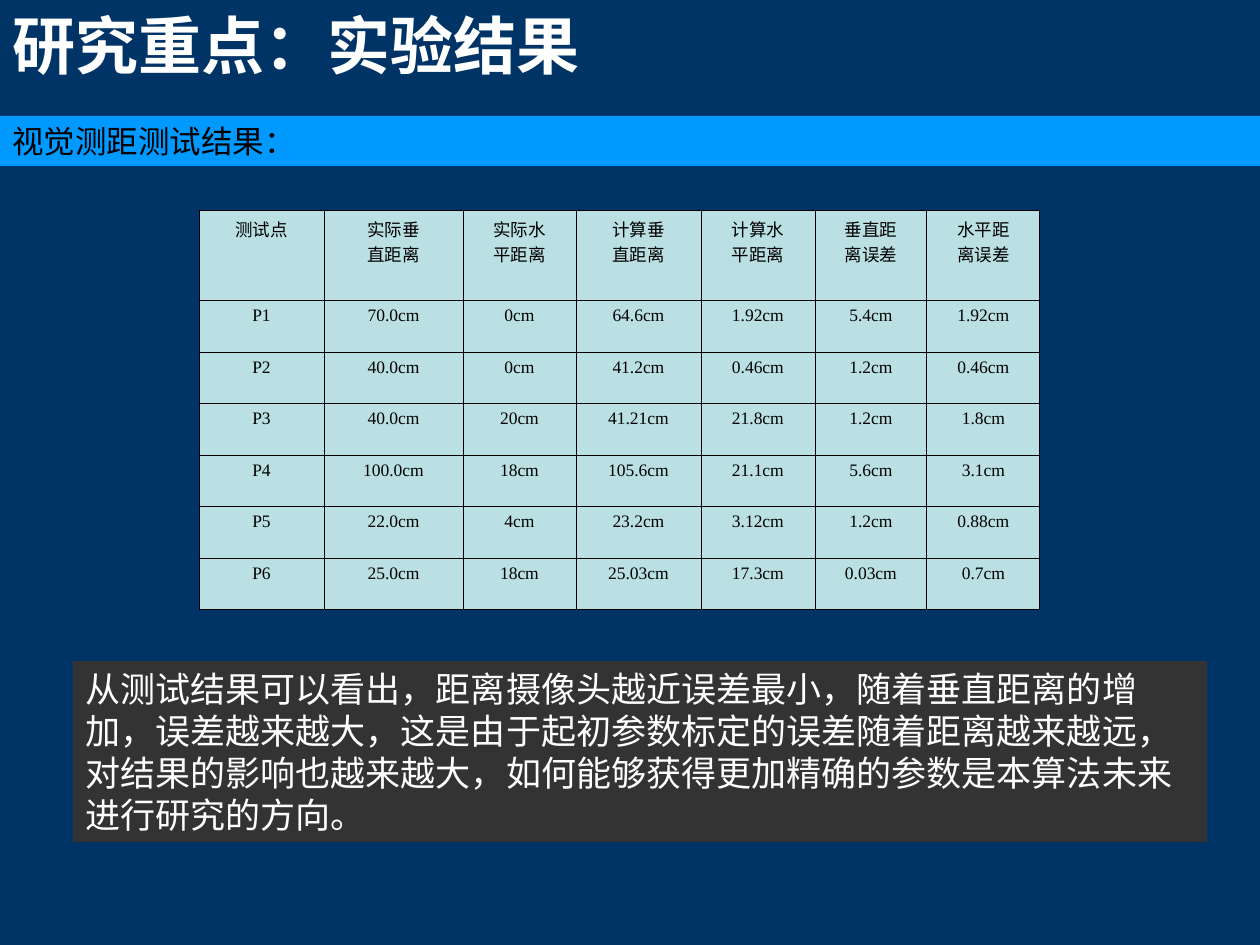
from dataclasses import dataclass

from lxml.etree import SubElement
from pptx import Presentation
from pptx.dml.color import RGBColor
from pptx.enum.shapes import MSO_SHAPE
from pptx.enum.text import MSO_ANCHOR, MSO_AUTO_SIZE, PP_ALIGN
from pptx.oxml.ns import qn
from pptx.slide import Slide
from pptx.table import _Cell
from pptx.text.text import TextFrame
from pptx.util import Emu, Pt

PIXELS_PER_INCH = 126
EAST_ASIAN_FONT = "Noto Sans CJK SC"
COLORS = {
    "background": "003366",
    "band": "0099FF",
    "panel": "333333",
    "cell": "BBE0E3",
    "dark": "000000",
    "light": "FFFFFF",
}
COLUMN_WIDTHS = [125, 139, 113, 125, 114, 112, 113]
ROW_HEIGHTS = [90] + [52, 51] * 3
RESULTS = [
    ["测试点", "实际垂\n直距离", "实际水\n平距离", "计算垂\n直距离",
     "计算水\n平距离", "垂直距\n离误差", "水平距\n离误差"],
    ["P1", "70.0cm", "0cm", "64.6cm", "1.92cm", "5.4cm", "1.92cm"],
    ["P2", "40.0cm", "0cm", "41.2cm", "0.46cm", "1.2cm", "0.46cm"],
    ["P3", "40.0cm", "20cm", "41.21cm", "21.8cm", "1.2cm", "1.8cm"],
    ["P4", "100.0cm", "18cm", "105.6cm", "21.1cm", "5.6cm", "3.1cm"],
    ["P5", "22.0cm", "4cm", "23.2cm", "3.12cm", "1.2cm", "0.88cm"],
    ["P6", "25.0cm", "18cm", "25.03cm", "17.3cm", "0.03cm", "0.7cm"],
]


@dataclass(frozen=True)
class TextStyle:
    size: int
    font: str
    color: str
    bold: bool = False
    align: PP_ALIGN = PP_ALIGN.LEFT
    line_points: float | None = None


@dataclass(frozen=True)
class Panel:
    left: int
    top: int
    width: int
    height: int
    fill: str
    text: str
    style: TextStyle


TITLE_STYLE = TextStyle(36, EAST_ASIAN_FONT, "light", bold=True)
CELL_STYLE = TextStyle(10, "Times New Roman", "dark", align=PP_ALIGN.CENTER)
PANELS = [
    Panel(0, 116, 1260, 50, "band", "视觉测距测试结果：",
          TextStyle(18, "Arial", "dark", line_points=21.6)),
    Panel(73, 661, 1134, 181, "panel",
          "从测试结果可以看出，距离摄像头越近误差最小，随着垂直距离的增加，"
          "误差越来越大，这是由于起初参数标定的误差随着距离越来越远，"
          "对结果的影响也越来越大，如何能够获得更加精确的参数是本算法未来进行研究的方向。",
          TextStyle(20, "Arial", "light", line_points=24)),
]


def px(value: int) -> Emu:
    return Emu(round(value * 914400 / PIXELS_PER_INCH))


def color(name: str) -> RGBColor:
    return RGBColor.from_string(COLORS[name])


def write_text(text_frame: TextFrame, text: str, style: TextStyle) -> None:
    text_frame.text = text
    for paragraph in text_frame.paragraphs:
        paragraph.alignment = style.align
        paragraph._p.get_or_add_pPr().set("hangingPunct", "0")
        if style.line_points:
            paragraph.line_spacing = Pt(style.line_points)
        for run in paragraph.runs:
            run.font.size = Pt(style.size)
            run.font.name = style.font
            run.font.bold = style.bold
            run.font.color.rgb = color(style.color)
            east_asian = SubElement(run.font._element, qn("a:ea"))
            east_asian.set("typeface", EAST_ASIAN_FONT)


def add_title(slide: Slide, text: str) -> None:
    title = slide.shapes.title
    title.left, title.top, title.width, title.height = px(0), px(0), px(1260), px(88)
    title.text_frame.auto_size = MSO_AUTO_SIZE.NONE
    title.text_frame.vertical_anchor = MSO_ANCHOR.MIDDLE
    write_text(title.text_frame, text, TITLE_STYLE)


def add_panel(slide: Slide, panel: Panel) -> None:
    shape = slide.shapes.add_shape(
        MSO_SHAPE.RECTANGLE, px(panel.left), px(panel.top), px(panel.width), px(panel.height)
    )
    shape.shadow.inherit = False
    shape.fill.solid()
    shape.fill.fore_color.rgb = color(panel.fill)
    shape.line.fill.background()
    shape.text_frame.word_wrap = True
    shape.text_frame.vertical_anchor = MSO_ANCHOR.TOP
    write_text(shape.text_frame, panel.text, panel.style)


def add_borders(cell: _Cell) -> None:
    properties = cell._tc.get_or_add_tcPr()
    for side in ("lnL", "lnR", "lnT", "lnB"):
        border = SubElement(properties, qn(f"a:{side}"), w=str(Pt(0.45)))
        fill = SubElement(border, qn("a:solidFill"))
        SubElement(fill, qn("a:srgbClr"), val=COLORS["dark"])


def add_results_table(slide: Slide, left: int, top: int) -> None:
    table = slide.shapes.add_table(
        len(RESULTS), len(COLUMN_WIDTHS), px(left), px(top),
        px(sum(COLUMN_WIDTHS)), px(sum(ROW_HEIGHTS)),
    ).table
    table.first_row = False
    table.horz_banding = False
    for column, width in zip(table.columns, COLUMN_WIDTHS):
        column.width = px(width)
    for row, height, values in zip(table.rows, ROW_HEIGHTS, RESULTS):
        row.height = px(height)
        for cell, value in zip(row.cells, values):
            write_text(cell.text_frame, value, CELL_STYLE)
            add_borders(cell)
            cell.fill.solid()
            cell.fill.fore_color.rgb = color("cell")


def main() -> None:
    presentation = Presentation()
    presentation.slide_width = px(1260)
    presentation.slide_height = px(945)
    slide = presentation.slides.add_slide(presentation.slide_layouts[5])
    slide.background.fill.solid()
    slide.background.fill.fore_color.rgb = color("background")
    heading_band, conclusion = PANELS
    add_title(slide, "研究重点：实验结果")
    add_panel(slide, heading_band)
    add_results_table(slide, 199, 210)
    add_panel(slide, conclusion)
    presentation.save("out.pptx")


if __name__ == "__main__":
    main()
